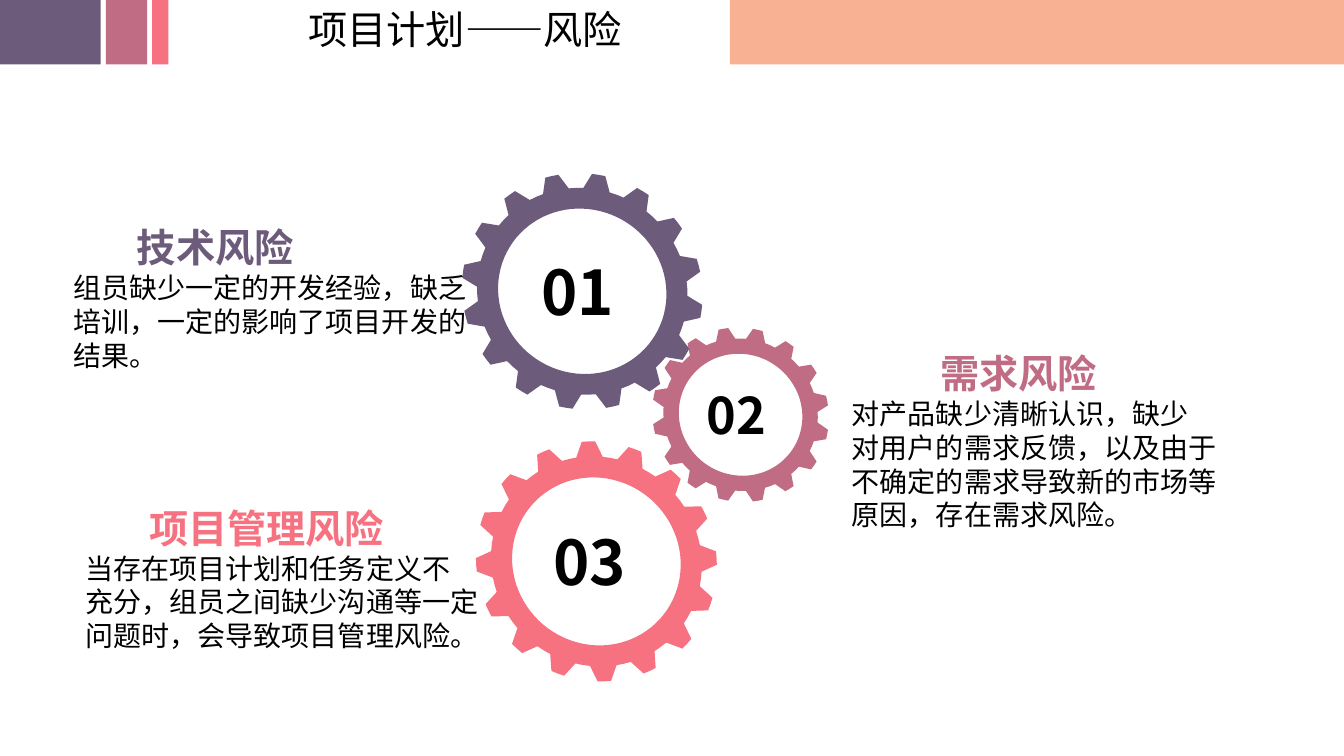
from dataclasses import dataclass
from math import cos, radians, sin

from lxml import etree
from pptx import Presentation
from pptx.dml.color import RGBColor
from pptx.enum import shapes, text
from pptx.oxml import ns
from pptx.util import Emu, Inches, Pt

PURPLE = RGBColor(0x6C, 0x5B, 0x7B)
MAUVE = RGBColor(0xC0, 0x6C, 0x84)
PINK = RGBColor(0xF6, 0x72, 0x80)
PEACH = RGBColor(0xF8, 0xB1, 0x93)
BLACK = RGBColor(0, 0, 0)
CJK = "Noto Sans CJK SC"
LATIN = "Calibri"

TEETH = 16
PITCH = 360 / TEETH
ROOT, HOLE = 0.875, 0.7  # shares of the outer radius
# (degrees from the tooth's middle, share of the outer radius)
TOOTH = [(-3.2, 1), (0, 1), (3.2, 1),
         (PITCH / 2 - 4, ROOT), (PITCH / 2, ROOT), (PITCH / 2 + 4, ROOT)]


@dataclass
class Box:
    left: float
    top: float
    width: float
    height: float

    def emu(self) -> list[int]:
        return [Inches(v) for v in (self.left, self.top, self.width, self.height)]


@dataclass
class Bar:
    box: Box
    color: RGBColor


@dataclass
class Gear:
    box: Box
    turn: float
    color: RGBColor
    number: str
    number_box: Box
    size: int


@dataclass
class Risk:
    box: Box
    heading: str
    indent: float
    color: RGBColor
    lines: list[str]


BARS = [
    Bar(Box(7.24, 0, 6.09, 0.64), PEACH),
    Bar(Box(0, 0, 1, 0.64), PURPLE),
    Bar(Box(1.05, 0, 0.41, 0.64), MAUVE),
    Bar(Box(1.51, 0, 0.16, 0.64), PINK),
]
GEARS = [
    Gear(Box(6.46, 3.26, 1.77, 1.71), 34.7, MAUVE, "02", Box(6.91, 3.76, 0.86, 0.71), 36),
    Gear(Box(4.7, 4.4, 2.43, 2.34), 42.3, PINK, "03", Box(5.39, 5.15, 0.99, 0.84), 44),
    Gear(Box(4.57, 1.73, 2.41, 2.32), 31.3, PURPLE, "01", Box(5.27, 2.47, 1, 0.84), 44),
]
RISKS = [
    Risk(Box(0.63, 2.17, 4.28, 1.58), "技术风险", 0.63, PURPLE,
         ["组员缺少一定的开发经验，缺乏", "培训，一定的影响了项目开发的", "结果。"]),
    Risk(Box(0.75, 4.95, 4.13, 1.58), "项目管理风险", 0.63, PINK,
         ["当存在项目计划和任务定义不", "充分，组员之间缺少沟通等一定", "问题时，会导致项目管理风险。"]),
    Risk(Box(8.35, 3.42, 3.85, 1.92), "需求风险", 0.88, MAUVE,
         ["对产品缺少清晰认识，缺少", "对用户的需求反馈，以及由于",
          "不确定的需求导致新的市场等", "原因，存在需求风险。"]),
]


def paint(sp, color: RGBColor) -> None:
    sp.shadow.inherit = False
    sp.fill.solid()
    sp.fill.fore_color.rgb = color
    sp.line.fill.background()


def set_frame(tf) -> None:
    frame = {"word_wrap": False, "auto_size": text.MSO_AUTO_SIZE.SHAPE_TO_FIT_TEXT,
             "vertical_anchor": text.MSO_ANCHOR.TOP}
    for name, value in frame.items():
        setattr(tf, name, value)


def write(p, words: str, size: int, color: RGBColor = BLACK, bold: bool = False,
          latin: str = CJK, indent: float = 0) -> None:
    p.alignment = text.PP_ALIGN.LEFT
    if indent:
        p._p.get_or_add_pPr().set("indent", str(Inches(indent)))
    r = p.add_run()
    r.text = words
    for name, value in {"size": Pt(size), "bold": bold, "name": latin}.items():
        setattr(r.font, name, value)
    r.font.color.rgb = color
    etree.SubElement(r._r.get_or_add_rPr(), ns.qn("a:ea"), typeface=CJK)


def add_text_frame(s, box: Box):
    tf = s.shapes.add_textbox(*box.emu()).text_frame
    set_frame(tf)
    return tf


def add_gear(s, gear: Gear) -> None:
    """Draw a toothed ring, slightly oval, then turn it."""
    left, top, width, height = gear.box.emu()

    def at(angle: float, share: float) -> tuple[int, int]:
        a = radians(angle)
        return (round(left + width / 2 * (1 + share * cos(a))),
                round(top + height / 2 * (1 + share * sin(a))))

    rim = [at(i * PITCH + turn, share) for i in range(TEETH) for turn, share in TOOTH]
    hole = [at(angle, HOLE) for angle in range(0, 360, 4)]
    outline = s.shapes.build_freeform(*rim[0], scale=1.0)
    outline.add_line_segments(rim[1:])
    outline.move_to(*hole[0])
    outline.add_line_segments(hole[1:])
    sp = outline.convert_to_shape(Emu(0), Emu(0))
    paint(sp, gear.color)
    sp.rotation = gear.turn


def add_risk(s, risk: Risk) -> None:
    tf = add_text_frame(s, risk.box)
    write(tf.paragraphs[0], risk.heading, 28, risk.color, True, LATIN, risk.indent)
    for line in risk.lines:
        write(tf.add_paragraph(), line, 20)


def main() -> None:
    prs = Presentation()
    prs.slide_width, prs.slide_height = Inches(13.33), Inches(7.5)
    s = prs.slides.add_slide(prs.slide_layouts[5])
    for bar in BARS:
        paint(s.shapes.add_shape(shapes.MSO_SHAPE.RECTANGLE, *bar.box.emu()), bar.color)
    title = s.shapes.title
    title.left, title.top, title.width, title.height = Box(2.96, 0, 3.34, 0.57).emu()
    set_frame(title.text_frame)
    write(title.text_frame.paragraphs[0], "项目计划——风险", 28)
    for gear in GEARS:
        add_gear(s, gear)
    for gear in GEARS:
        write(add_text_frame(s, gear.number_box).paragraphs[0], gear.number, gear.size, bold=True)
    for risk in RISKS:
        add_risk(s, risk)
    prs.save("out.pptx")


if __name__ == "__main__":
    main()
